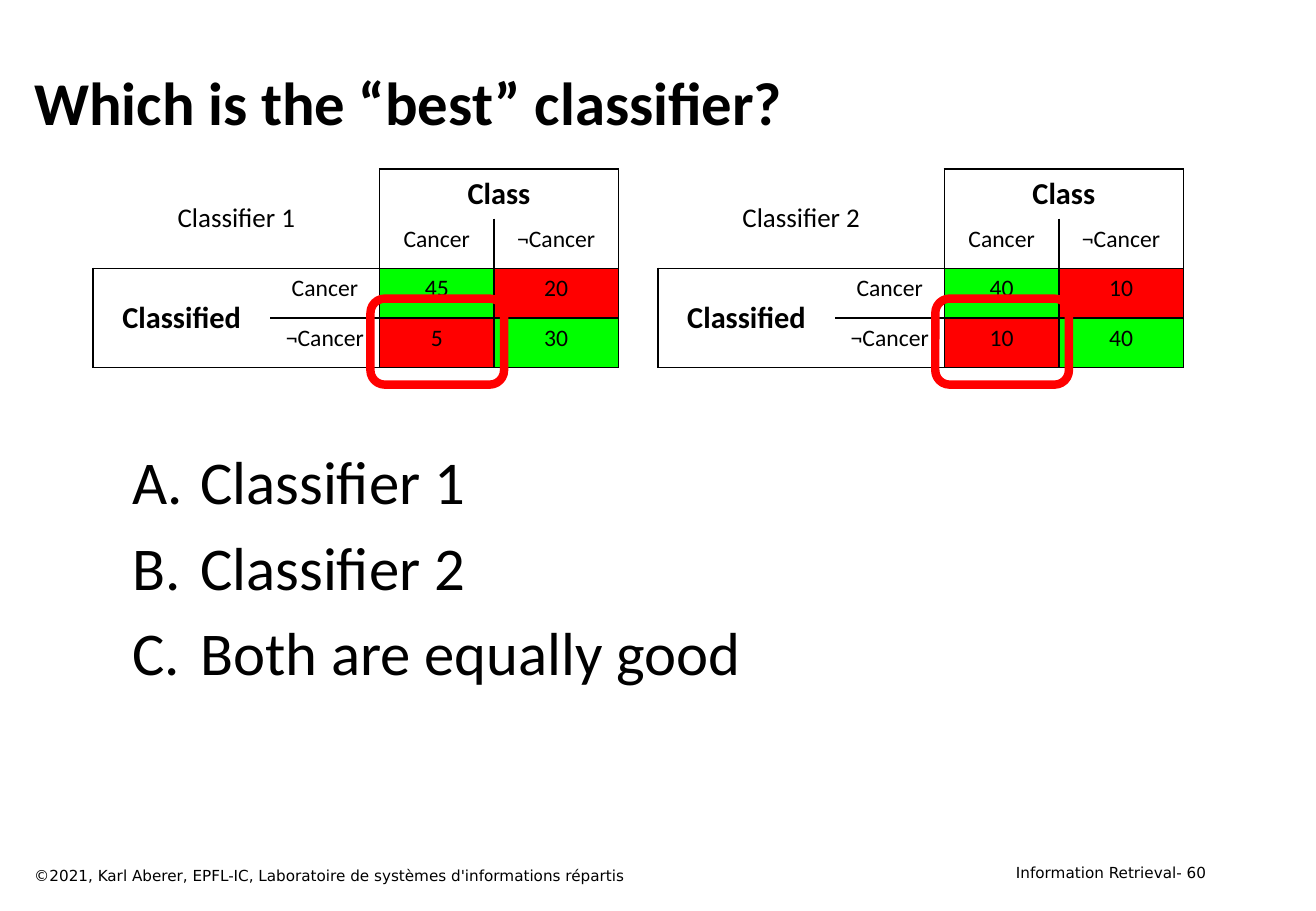
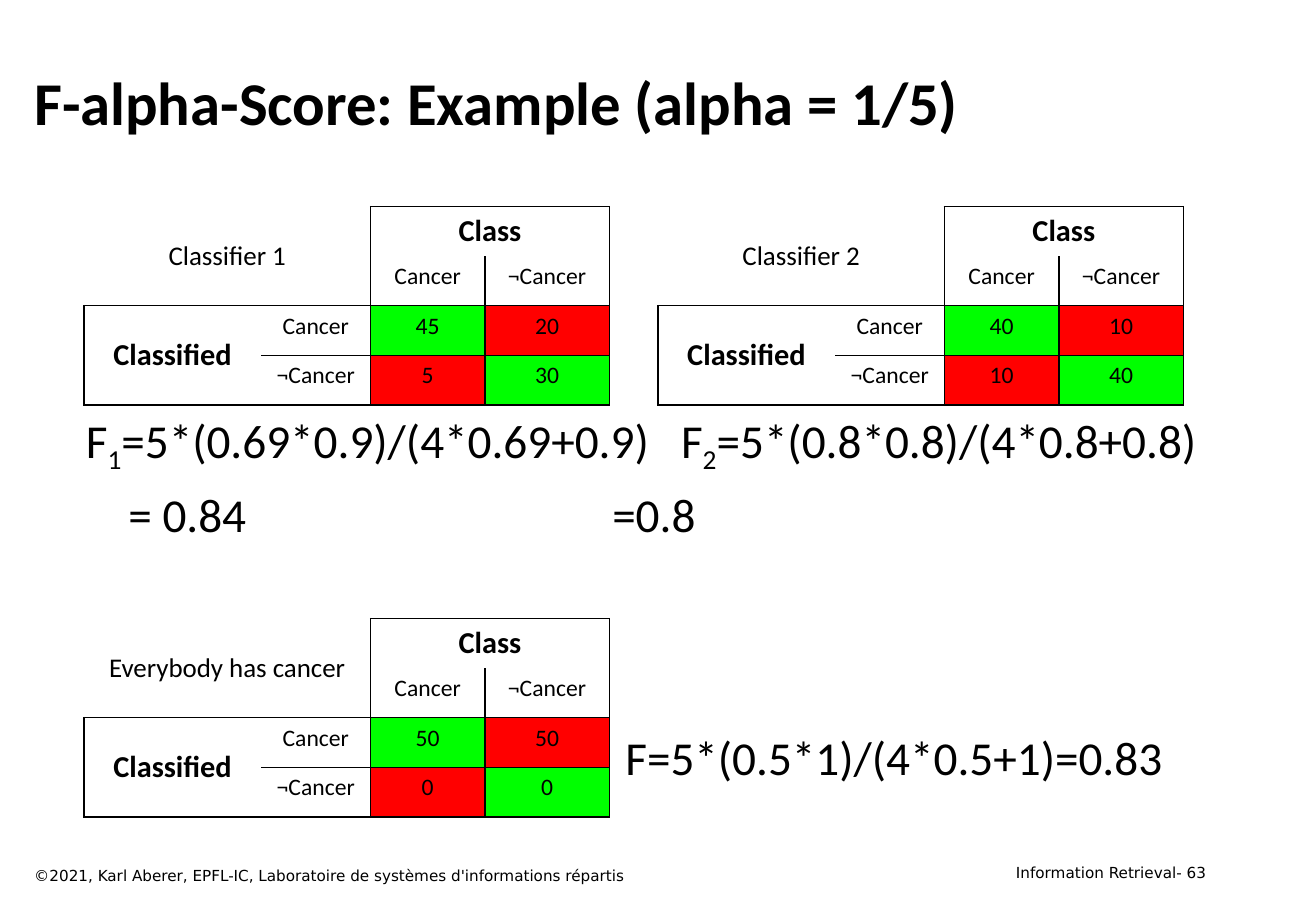
import dataclasses

import lxml.etree
import pptx
import pptx.dml.color
import pptx.enum.shapes
import pptx.enum.text
import pptx.oxml
import pptx.oxml.ns
import pptx.util

PX = 7620  # EMU, 120 px to the inch
ALIGN = pptx.enum.text.PP_ALIGN
ANCHOR = pptx.enum.text.MSO_ANCHOR
NO_STYLE = "{2D5ABB26-0587-4C30-8999-92F81FD0307C}"

COLS = (175, 108, 113, 123)
ROWS = (49, 49, 49, 49)
# Lines of the matrix: the columns (or rows) that each grid line crosses
ACROSS = {0: (2, 3), 2: (0, 1, 2, 3), 3: (1, 2, 3), 4: (0, 1, 2, 3)}
DOWN = {0: (2, 3), 2: (0, 1, 2, 3), 3: (1, 2, 3), 4: (0, 1, 2, 3)}


@dataclasses.dataclass(frozen=True)
class Theme:
    ink: str = "000000"
    good: str = "00FF00"
    bad: str = "FF0000"
    face: str = "Calibri"
    foot_face: str = "DejaVu Sans"
    title: int = 36
    choice: int = 36
    sums: int = 28
    head: int = 18
    name: int = 16
    cell: int = 14
    foot: int = 9
    rule: int = 1
    ring: int = 5


def color(code):
    return pptx.dml.color.RGBColor.from_string(code)


def child(parent, tag, **attrs):
    node = lxml.etree.SubElement(parent, pptx.oxml.ns.qn(tag))
    for key, value in attrs.items():
        node.set(key, str(value))
    return node


class Deck:
    def __init__(self, theme):
        self.theme = theme
        self.file = pptx.Presentation()
        self.file.slide_width = 1300 * PX
        self.file.slide_height = 900 * PX
        self.slide = None

    def page(self, title, number):
        t = self.theme
        self.slide = self.file.slides.add_slide(self.file.slide_layouts[6])
        self.text((932, 847, 271, 30), [f"Information Retrieval- {number}"],
                  t.foot, face=t.foot_face, align=ALIGN.RIGHT)
        self.text((22, 40, 1181, 120), [title], t.title, bold=True,
                  anchor=ANCHOR.MIDDLE)
        self.text((22, 850, 834, 30),
                  ["©2021, Karl Aberer, EPFL-IC, Laboratoire de systèmes "
                   "d'informations répartis"], t.foot, face=t.foot_face)

    def run(self, para, words, size, bold=False, face=None, sub=False):
        run = para.add_run()
        run.text = words
        font = run.font
        font.size = pptx.util.Pt(size)
        font.bold = bold
        font.name = face or self.theme.face
        font.color.rgb = color(self.theme.ink)
        if sub:
            run._r.get_or_add_rPr().set("baseline", "-25000")

    def text(self, box, lines, size, bold=False, face=None, align=ALIGN.LEFT,
             anchor=ANCHOR.TOP, wrap=True, letters=False, tabs=()):
        """Each line is a string, or a list of (words, is subscript) runs."""
        shape = self.slide.shapes.add_textbox(*(v * PX for v in box))
        frame = shape.text_frame
        frame.word_wrap = wrap
        frame.vertical_anchor = anchor
        for i, line in enumerate(lines):
            para = frame.add_paragraph() if i else frame.paragraphs[0]
            para.alignment = align
            if i:
                para.space_before = pptx.util.Pt(round(size * 0.2, 1))
            props = para._p.get_or_add_pPr()
            if letters:
                props.set("marL", str(113 * PX))
                props.set("indent", str(-67 * PX))
                child(props, "a:buFont", typeface="+mj-lt")
                child(props, "a:buAutoNum", type="alphaUcPeriod")
            if tabs:
                stops = child(props, "a:tabLst")
                for stop in tabs:
                    child(stops, "a:tab", pos=stop * PX, algn="l")
            runs = [(line, False)] if isinstance(line, str) else line
            for words, sub in runs:
                self.run(para, words, size, bold, face, sub)

    def edge(self, cell, row, col):
        """Draw the matrix lines that touch a cell, and clear its other sides."""
        low = row + (cell.span_height if cell.is_merge_origin else 1)
        right = col + (cell.span_width if cell.is_merge_origin else 1)
        sides = {"a:lnL": row in DOWN.get(col, ()),
                 "a:lnR": row in DOWN.get(right, ()),
                 "a:lnT": col in ACROSS.get(row, ()),
                 "a:lnB": col in ACROSS.get(low, ())}
        props = cell._tc.get_or_add_tcPr()
        for tag, drawn in sides.items():
            line = child(props, tag, w=pptx.util.Pt(self.theme.rule))
            if drawn:
                child(child(line, "a:solidFill"), "a:srgbClr",
                      val=self.theme.ink)
            else:
                child(line, "a:noFill")

    def matrix(self, left, top, name, counts):
        """Confusion matrix; counts run row by row."""
        t = self.theme
        frame = self.slide.shapes.add_table(
            4, 4, left * PX, top * PX, sum(COLS) * PX, sum(ROWS) * PX)
        table = frame.table
        table.first_row = table.horz_banding = False
        table._tbl.tblPr.find(pptx.oxml.ns.qn("a:tableStyleId")).text = NO_STYLE
        for i, (wide, high) in enumerate(zip(COLS, ROWS)):
            table.columns[i].width = wide * PX
            table.rows[i].height = high * PX
        for start, end in (((0, 0), (1, 1)), ((0, 2), (0, 3)), ((2, 0), (3, 0))):
            table.cell(*start).merge(table.cell(*end))

        a, b, c, d = counts
        words = ((name, "", "Class", ""),
                 ("", "", "Cancer", "¬Cancer"),
                 ("Classified", "Cancer", a, b),
                 ("", "¬Cancer", c, d))
        for row, line in enumerate(words):
            for col, word in enumerate(line):
                cell = table.cell(row, col)
                self.edge(cell, row, col)
                if row > 1 and col > 1:
                    cell.fill.solid()
                    cell.fill.fore_color.rgb = color(
                        t.good if row == col else t.bad)
                else:
                    cell.fill.background()
                if word == "":
                    continue
                head = cell.is_merge_origin
                size = t.cell
                if head:
                    cell.vertical_anchor = ANCHOR.MIDDLE
                    size = t.name if word == name else t.head
                para = cell.text_frame.paragraphs[0]
                para.alignment = ALIGN.CENTER
                self.run(para, str(word), size, bold=size == t.head)

    def ring(self, left, top):
        """Ring the missed cancers of the matrix at this place."""
        shape = self.slide.shapes.add_shape(
            pptx.enum.shapes.MSO_SHAPE.ROUNDED_RECTANGLE,
            (left + 274) * PX, (top + 128) * PX, 132 * PX, 85 * PX)
        shape.shadow.inherit = False
        shape.fill.background()
        shape.line.color.rgb = color(self.theme.bad)
        shape.line.width = pptx.util.Pt(self.theme.ring)


def main():
    theme = Theme()
    deck = Deck(theme)
    first = ("Classifier 1", (45, 20, 5, 30))
    second = ("Classifier 2", (40, 10, 10, 40))

    deck.page("Which is the “best” classifier?", 60)
    deck.text((73, 433, 1090, 402),
              ["Classifier 1", "Classifier 2", "Both are equally good"],
              theme.choice, letters=True)
    spots = ((92, 167), (650, 167))
    for spot, data in zip(spots, (first, second)):
        deck.matrix(*spot, *data)
    for spot in spots:
        deck.ring(*spot)

    deck.page("F-alpha-Score: Example (alpha = 1/5)", 63)
    deck.text((73, 400, 1144, 150),
              [[("F", False), ("1", True),
                ("=5*(0.69*0.9)/(4*0.69+0.9)\tF", False), ("2", True),
                ("=5*(0.8*0.8)/(4*0.8+0.8)", False)],
               "\t= 0.84\t=0.8"],
              theme.sums, tabs=(42, 520, 588))
    everyone = ("Everybody has cancer", (50, 50, 0, 0))
    for spot, data in zip(((83, 204), (650, 204), (83, 611)),
                          (first, second, everyone)):
        deck.matrix(*spot, *data)
    deck.text((606, 714, 574, 68), ["F=5*(0.5*1)/(4*0.5+1)=0.83"],
              theme.sums, wrap=False)

    deck.file.save("out.pptx")


if __name__ == "__main__":
    main()
